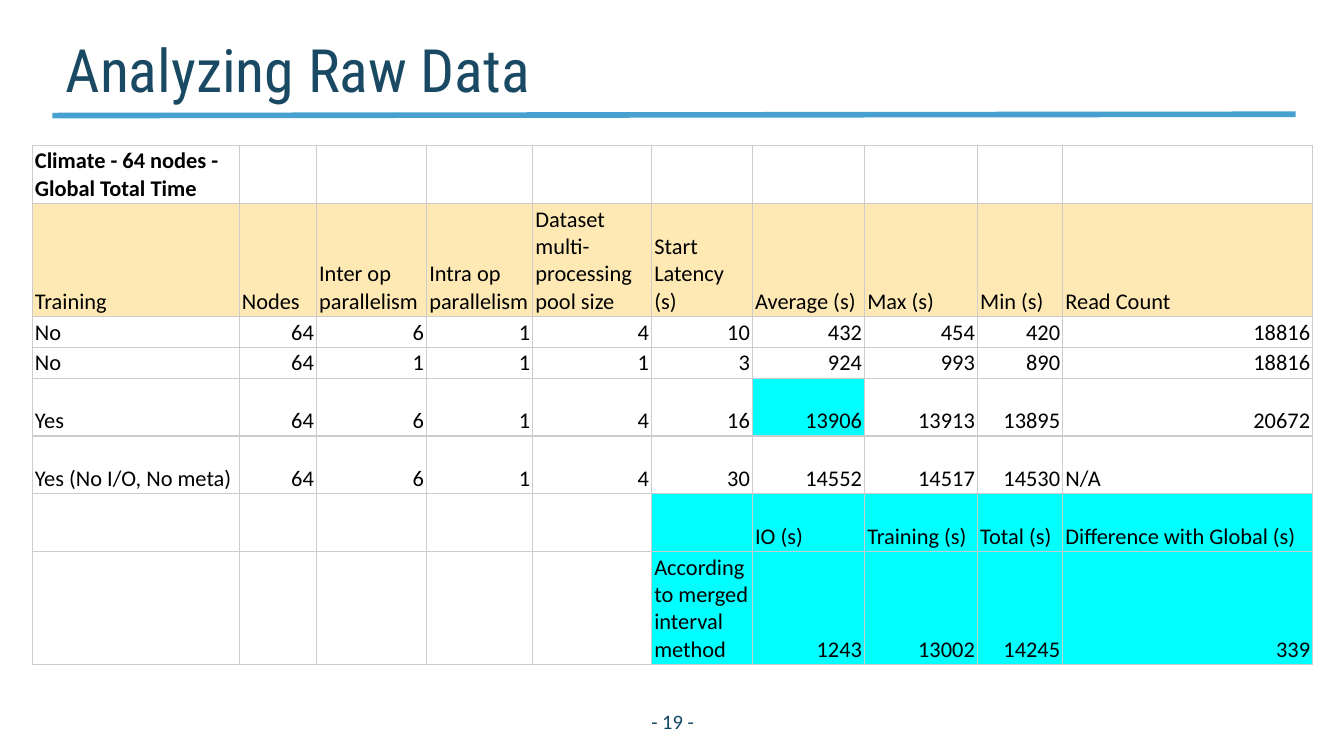
from lxml import etree
from pptx import Presentation
from pptx import util as u
from pptx.dml.color import RGBColor
from pptx.enum import shapes, text
from pptx.oxml import ns

PX = u.Inches(1) // 200  # 200 px to the inch

THEME = {
    "title": "194963", "rule": "46A0D0", "footer": "114766", "body": "000000",
    "border": "CCCCCC", "header": "FEE8B4", "highlight": "00FFFF",
    "title_font": "Roboto Condensed", "body_font": "Calibri",
    "title_size": 32, "footer_size": 11, "table_size": 12,
}


def write(frame, words, *, size, color, font=THEME["body_font"], bold=False,
          align=text.PP_ALIGN.LEFT):
    frame.word_wrap = True
    paragraph = frame.paragraphs[0]
    paragraph.alignment = align
    run = paragraph.add_run()
    run.text = words
    run.font.name = font
    run.font.size = u.Pt(size)
    run.font.bold = bold
    run.font.color.rgb = RGBColor.from_string(color)


def fit(holder, anchor, side, top):
    """Set anchor and insets of a text frame or a table cell."""
    holder.vertical_anchor = anchor
    holder.margin_left = holder.margin_right = side * PX
    holder.margin_top = holder.margin_bottom = top * PX


presentation = Presentation()
presentation.slide_width, presentation.slide_height = 2000 * PX, 1125 * PX
slide = presentation.slides.add_slide(presentation.slide_layouts[6])

# Rule under the title
rule = slide.shapes.add_connector(
    shapes.MSO_CONNECTOR.STRAIGHT, 78 * PX, 172 * PX, 1928 * PX, 170 * PX)
rule.line.color.rgb = RGBColor.from_string(THEME["rule"])
rule.line.width = u.Pt(3)
etree.SubElement(rule._element.spPr, ns.qn("a:effectLst"))

# Title
title = slide.shapes.add_textbox(78 * PX, 30 * PX, 1492 * PX, 126 * PX).text_frame
fit(title, text.MSO_ANCHOR.BOTTOM, 20, 0)
write(title, "Analyzing Raw Data", size=THEME["title_size"],
      color=THEME["title"], font=THEME["title_font"])

# Page number
footer = slide.shapes.add_textbox(900 * PX, 1044 * PX, 202 * PX, 60 * PX).text_frame
fit(footer, text.MSO_ANCHOR.MIDDLE, 20, 10)
write(footer, "- 19 -", size=THEME["footer_size"], color=THEME["footer"],
      align=text.PP_ALIGN.CENTER)

# Table contents
rows = [
    ["Climate - 64 nodes - Global Total Time"] + [""] * 9,
    ["Training", "Nodes", "Inter op parallelism", "Intra op parallelism",
     "Dataset multi- processing pool size", "Start Latency (s)",
     "Average (s)", "Max (s)", "Min (s)", "Read Count"],
    ["No", "64", "6", "1", "4", "10", "432", "454", "420", "18816"],
    ["No", "64", "1", "1", "1", "3", "924", "993", "890", "18816"],
    ["Yes", "64", "6", "1", "4", "16", "13906", "13913", "13895", "20672"],
    ["Yes (No I/O, No meta)", "64", "6", "1", "4", "30",
     "14552", "14517", "14530", "N/A"],
    [""] * 6 + ["IO (s)", "Training (s)", "Total (s)", "Difference with Global (s)"],
    [""] * 5 + ["According to merged interval method",
                "1243", "13002", "14245", "339"],
]
column_widths = [308, 115, 164, 158, 177, 150, 167, 168, 127, 372]
row_heights = [86, 168, 46, 46, 86, 86, 86, 168]

# Coloured cells: header row, the compared average, and the merged interval block
fills = {(1, column): THEME["header"] for column in range(10)}
fills |= {(row, column): THEME["highlight"] for row in (6, 7) for column in range(5, 10)}
fills[4, 6] = THEME["highlight"]

# Table
table = slide.shapes.add_table(
    len(rows), len(column_widths), 48 * PX, 217 * PX,
    sum(column_widths) * PX, sum(row_heights) * PX).table
table.first_row = table.horz_banding = False
for column, width in zip(table.columns, column_widths):
    column.width = width * PX
for row, height in zip(table.rows, row_heights):
    row.height = height * PX

for row_index, row in enumerate(rows):
    for column_index, words in enumerate(row):
        cell = table.cell(row_index, column_index)
        fit(cell, text.MSO_ANCHOR.BOTTOM, 4, 2)

        # Borders come before the fill in the cell properties
        for side in ("lnL", "lnR", "lnT", "lnB"):
            border = etree.SubElement(
                cell._tc.get_or_add_tcPr(), ns.qn(f"a:{side}"), w=str(u.Pt(0.75)))
            paint = etree.SubElement(border, ns.qn("a:solidFill"))
            etree.SubElement(paint, ns.qn("a:srgbClr"), val=THEME["border"])

        fill = fills.get((row_index, column_index))
        if fill:
            cell.fill.solid()
            cell.fill.fore_color.rgb = RGBColor.from_string(fill)
        else:
            cell.fill.background()

        if words:
            write(cell.text_frame, words, size=THEME["table_size"],
                  color=THEME["body"], bold=row_index == 0,
                  align=text.PP_ALIGN.RIGHT if words.isdigit() else text.PP_ALIGN.LEFT)

presentation.save("out.pptx")
